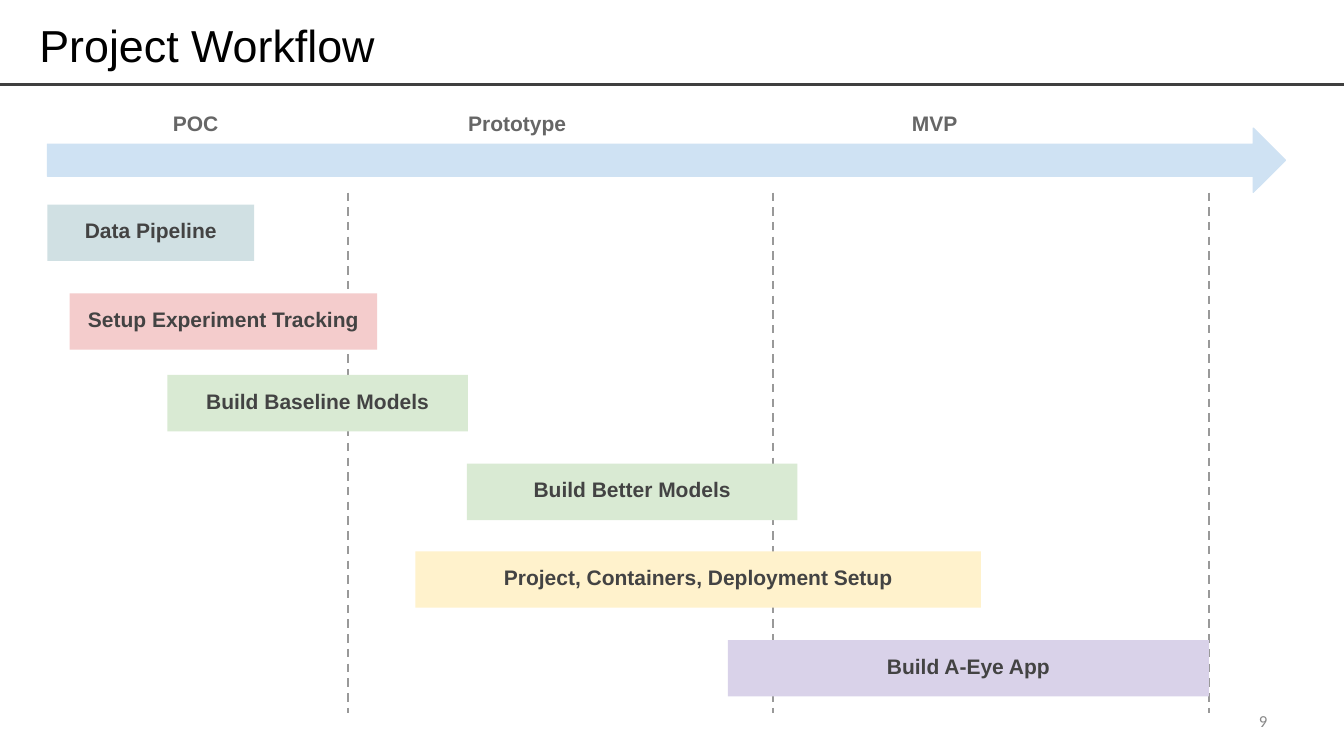
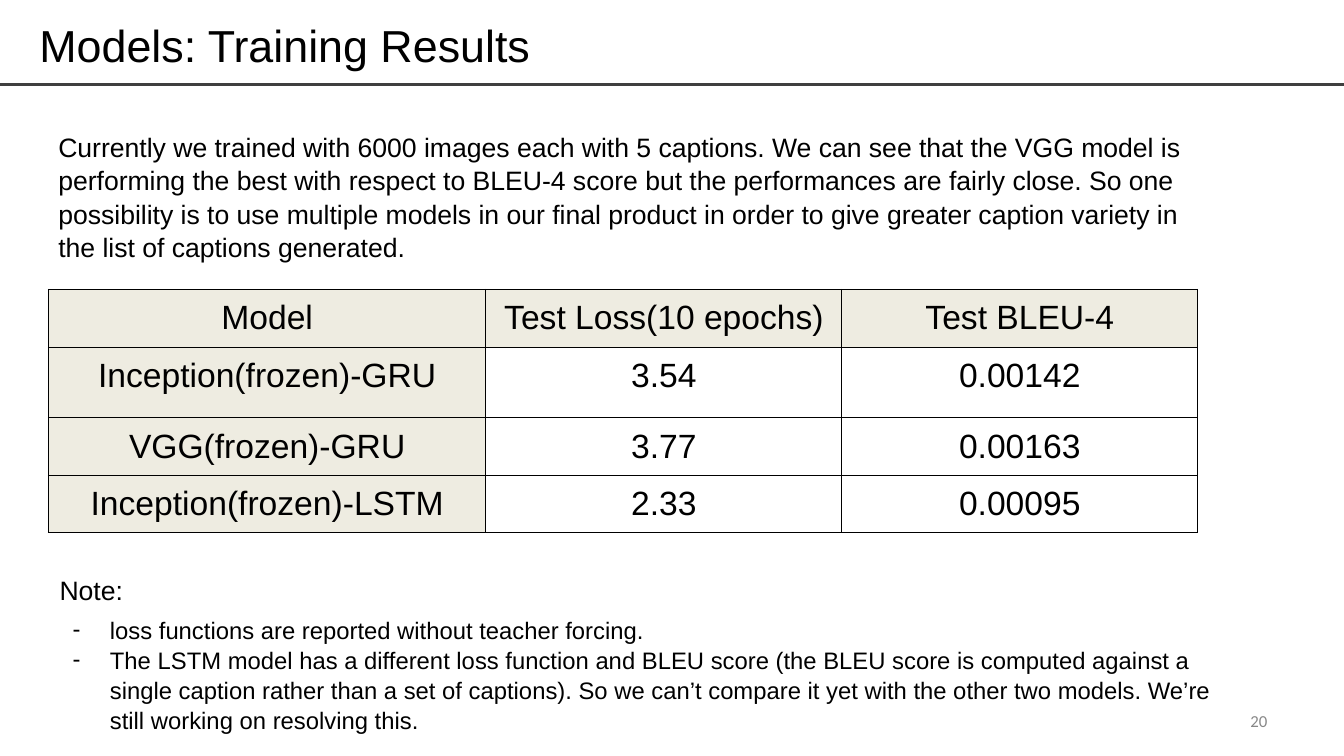
from lxml import etree
from pptx import Presentation
from pptx.dml.color import RGBColor
from pptx.enum.dml import MSO_LINE
from pptx.enum.shapes import MSO_CONNECTOR, MSO_SHAPE
from pptx.enum.text import MSO_ANCHOR as ANCHOR, MSO_AUTO_SIZE, PP_ALIGN as ALIGN
from pptx.oxml.ns import qn
from pptx.util import Inches, Pt

# Shared style
FONT, NUMBER_FONT = "Arial", "Calibri"
BLACK, RULE, DASH = "000000", "3F3F3F", "999999"
LABEL, BAR_TEXT, NUMBER = "666666", "434343", "888888"
ARROW, HEAD_FILL = "CFE2F3", "EEECE1"
TEAL, RED, GREEN, YELLOW, PURPLE = "D0E0E3", "F4CCCC", "D9EAD3", "FFF2CC", "D9D2E9"
SLIDE_W, SLIDE_H = 13.33, 7.5
LINE_SPACING = 1.05


def rgb(color):
    return RGBColor.from_string(color)


def inches(*lengths):
    return [Inches(n) for n in lengths]


def style(p, size, color=BLACK, bold=False, align=ALIGN.LEFT, name=FONT):
    p.alignment = align
    p.font.name, p.font.size, p.font.bold = name, Pt(size), bold
    p.font.color.rgb = rgb(color)


def set_frame(tf, inset_x, inset_y, anchor=ANCHOR.TOP):
    tf.word_wrap = True
    tf.auto_size = MSO_AUTO_SIZE.NONE
    tf.vertical_anchor = anchor
    tf.margin_left = tf.margin_right = Inches(inset_x)
    tf.margin_top = tf.margin_bottom = Inches(inset_y)


def place(sp, box):
    sp.left, sp.top, sp.width, sp.height = inches(*box)


def add_text(slide, box, text, inset=(0.1, 0.1), anchor=ANCHOR.TOP, **font):
    tf = slide.shapes.add_textbox(*inches(*box)).text_frame
    set_frame(tf, *inset, anchor)
    p = tf.paragraphs[0]
    p.text = text
    style(p, **font)
    return p


def add_box(slide, shape, box, color):
    sp = slide.shapes.add_shape(shape, *inches(*box))
    sp.shadow.inherit = False
    sp.fill.solid()
    sp.fill.fore_color.rgb = rgb(color)
    sp.line.fill.background()
    return sp


def add_line(slide, ends, color, width, dash=None):
    line = slide.shapes.add_connector(MSO_CONNECTOR.STRAIGHT, *inches(*ends))
    line.line.color.rgb = rgb(color)
    line.line.width = Pt(width)
    if dash:
        line.line.dash_style = dash
    etree.SubElement(line._element.spPr, qn("a:effectLst"))


def add_slide(prs, layout, title, number):
    """Title, rule and page number."""
    slide = prs.slides.add_slide(prs.slide_layouts[layout])
    add_line(slide, (0, 0.84, SLIDE_W, 0.84), RULE, 2.25)
    sp = slide.shapes.title
    place(sp, (0.29, 0.1, 11.79, 0.75))
    sp.text_frame.text = title
    set_frame(sp.text_frame, 0.1, 0.05, ANCHOR.MIDDLE)
    p = sp.text_frame.paragraphs[0]
    p.line_spacing = 0.9
    style(p, 32)
    add_text(slide, (9.56, 6.95, 3.11, 0.4), number, (0.1, 0.05), ANCHOR.MIDDLE,
             size=12, color=NUMBER, align=ALIGN.RIGHT, name=NUMBER_FONT)
    return slide


def add_timeline(slide, box, phases, milestones, bars):
    """Phase labels, arrow, milestone lines and task bars, offset from the box."""
    x, y, w, h = box
    arrow_y, arrow_h = y + 0.18, 0.64
    for offset in milestones:
        add_line(slide, (x + offset, arrow_y + arrow_h, x + offset, y + h),
                 DASH, 1.5, MSO_LINE.DASH)
    sp = add_box(slide, MSO_SHAPE.RIGHT_ARROW, (x, arrow_y, w, arrow_h), ARROW)
    sp.line.color.rgb = rgb(ARROW)
    sp.line.width = Pt(0.75)
    for text, center in phases:
        add_text(slide, (x + center - 0.62, y, 1.24, 0.27), text, (0, 0),
                 ANCHOR.MIDDLE, size=15, color=LABEL, bold=True, align=ALIGN.CENTER)
    for text, left, top, width, color in bars:
        sp = add_box(slide, MSO_SHAPE.RECTANGLE, (x + left, y + top, width, 0.56), color)
        set_frame(sp.text_frame, 0.13, 0.13)
        p = sp.text_frame.paragraphs[0]
        p.text = text
        style(p, 15, BAR_TEXT, True, ALIGN.CENTER)


def set_borders(cell):
    tc_pr = cell._tc.get_or_add_tcPr()
    for i, side in enumerate(("lnL", "lnR", "lnT", "lnB")):
        ln = etree.Element(qn(f"a:{side}"), w=str(Pt(0.75)))
        fill = etree.SubElement(ln, qn("a:solidFill"))
        etree.SubElement(fill, qn("a:srgbClr"), val=BLACK)
        tc_pr.insert(i, ln)


def add_results(slide, left, top, widths, heights, rows):
    """Bordered table with a tinted first row and column."""
    frame = slide.shapes.add_table(len(rows), len(widths), *inches(
        left, top, sum(widths), sum(heights)))
    table = frame.table
    for column, width in zip(table.columns, widths):
        column.width = Inches(width)
    for i, (row, height) in enumerate(zip(rows, heights)):
        table.rows[i].height = Inches(height)
        for j, text in enumerate(row):
            cell = table.cell(i, j)
            cell.margin_left = cell.margin_right = Inches(0.1)
            cell.margin_top = cell.margin_bottom = Inches(0.1)
            if i == 0 or j == 0:
                cell.fill.solid()
                cell.fill.fore_color.rgb = rgb(HEAD_FILL)
            else:
                cell.fill.background()
            set_borders(cell)
            p = cell.text_frame.paragraphs[0]
            p.text = text
            style(p, 24, align=ALIGN.CENTER)


def add_notes_list(slide, box, heading, items):
    """Heading followed by dashed items, in the body placeholder."""
    sp = slide.placeholders[1]
    place(sp, box)
    tf = sp.text_frame
    set_frame(tf, 0.1, 0.1)
    for i, text in enumerate([heading, *items]):
        p = tf.paragraphs[0] if i == 0 else tf.add_paragraph()
        p.text = text
        p_pr = p._p.get_or_add_pPr()
        p_pr.set("marL", str(Inches(0.5 if i else 0)))
        p_pr.set("indent", str(Inches(-0.37 if i else 0)))
        if i:
            etree.SubElement(p_pr, qn("a:buChar"), char="-")
        else:
            etree.SubElement(p_pr, qn("a:buNone"))
        p.line_spacing = LINE_SPACING
        p.space_before = Pt(5.6 if i == 1 else 0)
        style(p, 17 if i else 19)


def workflow_slide(prs):
    slide = add_slide(prs, 5, "Project Workflow", "9")
    add_timeline(
        slide, (0.47, 1.09, 12.28, 5.98),
        phases=[("POC", 1.47), ("Prototype", 4.66), ("MVP", 8.8)],
        milestones=[2.98, 7.2, 11.52],
        bars=[
            ("Data Pipeline", 0, 0.94, 2.05, TEAL),
            ("Setup Experiment Tracking", 0.22, 1.82, 3.05, RED),
            ("Build Baseline Models", 1.19, 2.63, 2.98, GREEN),
            ("Build Better Models", 4.16, 3.51, 3.28, GREEN),
            ("Project, Containers, Deployment Setup", 3.65, 4.38, 5.61, YELLOW),
            ("Build A-Eye App", 6.75, 5.26, 4.77, PURPLE),
        ])


def results_slide(prs):
    slide = add_slide(prs, 1, "Models: Training Results", "20")
    p = add_text(
        slide, (0.48, 1.18, 11.41, 1.6),
        "Currently we trained with 6000 images each with 5 captions. We can see that "
        "the VGG model is performing the best with respect to BLEU-4 score but the "
        "performances are fairly close. So one possibility is to use multiple models "
        "in our final product in order to give greater caption variety in the list of "
        "captions generated.", size=19)
    p.line_spacing = LINE_SPACING
    add_results(
        slide, 0.48, 2.87, (4.34, 3.53, 3.53), (0.57, 0.7, 0.57, 0.57),
        [("Model", "Test Loss(10 epochs)", "Test BLEU-4"),
         ("Inception(frozen)-GRU", "3.54", "0.00142"),
         ("VGG(frozen)-GRU", "3.77", "0.00163"),
         ("Inception(frozen)-LSTM", "2.33", "0.00095")])
    add_notes_list(
        slide, (0.49, 5.58, 11.94, 1.75), "Note:",
        ["loss functions are reported without teacher forcing.",
         "The LSTM model has a different loss function and BLEU score (the BLEU score "
         "is computed against a single caption rather than a set of captions). So we "
         "can’t compare it yet with the other two models. We’re still working on "
         "resolving this."])


def main():
    prs = Presentation()
    prs.slide_width, prs.slide_height = inches(SLIDE_W, SLIDE_H)
    workflow_slide(prs)
    results_slide(prs)
    prs.save("out.pptx")


if __name__ == "__main__":
    main()
